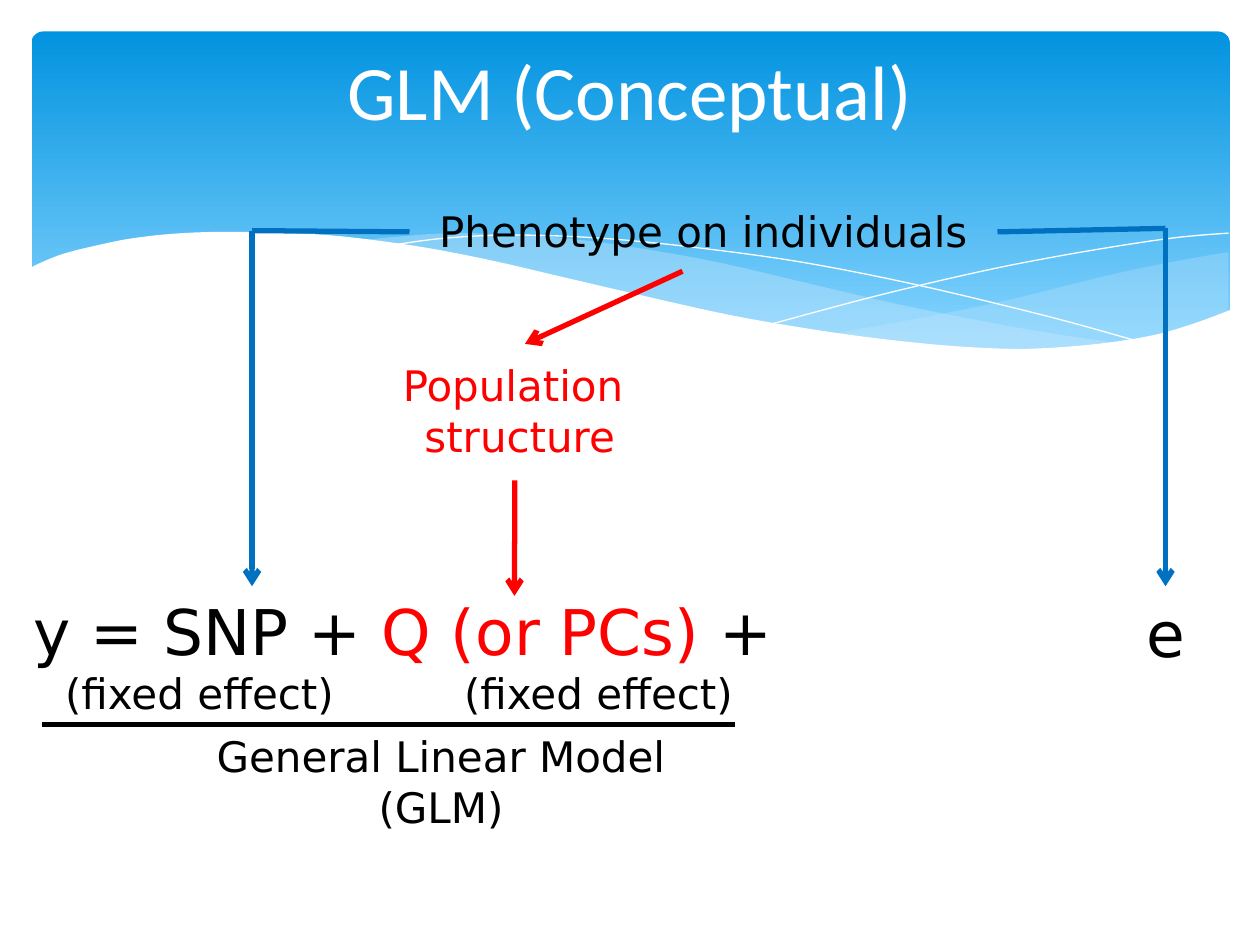
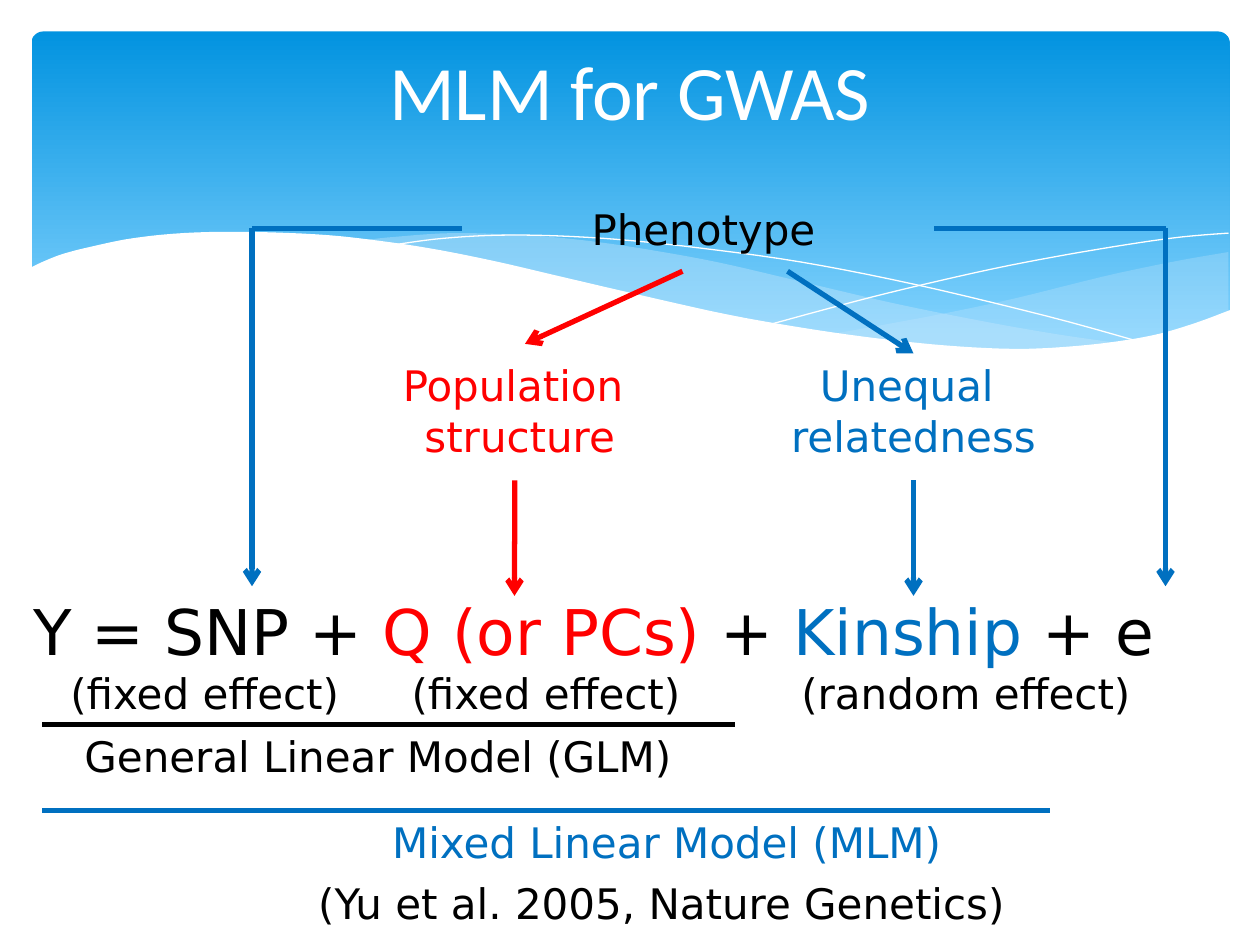
from lxml.etree import SubElement
from pptx import Presentation
from pptx.dml.color import RGBColor
from pptx.enum.shapes import MSO_CONNECTOR, MSO_SHAPE
from pptx.enum.text import MSO_ANCHOR, MSO_AUTO_SIZE, PP_ALIGN
from pptx.oxml.ns import qn
from pptx.util import Pt

BLACK, WHITE, RED, BLUE = "000000", "FFFFFF", "FF0000", "0070C0"
BAND_TOP, BAND_BOTTOM, WASH = "0293E0", "83D3FE", "C6E7FC"
TITLE_FONT, BODY_FONT = "Calibri", "DejaVu Sans"

# Knots of the header waves, in points
HEADER_EDGE = [
    (703.5, 177), (684, 184.3), (662.4, 190.8), (638.6, 195.1), (612, 198),
    (582.5, 199.4), (547.9, 198), (509.8, 194.4), (466.6, 188.6), (416.9, 180),
    (362.2, 167.8), (321.8, 158.4), (281.5, 149), (244.8, 141.8), (210.2, 136.8),
    (180, 133.9), (139, 132.5), (105.1, 133.2), (76.3, 136.1), (54.7, 140.4),
    (37.4, 144.7), (25.9, 149), (16.6, 153.4)]
BELOW_HEADER = [(16.6, 236.9), (703.5, 236.9)]
RIGHT_WASH_TOP = [
    (702, 144), (673.2, 149), (641.5, 155.5), (619.9, 160.6), (579.6, 170.6),
    (542.2, 178.6), (508.3, 185), (475.9, 190.8)]
RIGHT_WASH_BASE = [
    (475.9, 190.8), (507.6, 195.1), (536.4, 198), (562.3, 199.4), (586.1, 200.2),
    (614.9, 198.7), (645.8, 194.4), (673.2, 188.6), (702, 177.8)]
LONG_WASH_TOP = [
    (643, 196.6), (602.6, 190.8), (558, 182.9), (508.3, 172.8), (452.9, 159.8),
    (409.7, 149.8), (370.1, 142.6), (334.8, 137.5), (302.4, 134.6),
    (259.9, 133.2), (225.4, 135.4), (205.9, 137.5)]
LONG_WASH_BASE = [
    (205.9, 137.5), (246.2, 143.3), (290.9, 151.9), (323.3, 159.8),
    (381.6, 172.8), (432.7, 183.6), (478.8, 191.5), (519.8, 197.3),
    (556.6, 199.4), (589, 200.2), (624.2, 198.7), (643, 196.6)]
FALLING_HAIRLINE = [
    (222.5, 140.4), (247.7, 136.8), (278.6, 134.6), (311.8, 134.6),
    (352.1, 136.8), (400.3, 141.8), (457.9, 149.8), (523.4, 162.7),
    (598.3, 180.7), (653, 195.8)]
RISING_HAIRLINE = [
    (441.4, 185), (500.4, 169.2), (558.7, 155.5), (601.9, 146.9),
    (644.4, 139.7), (675.4, 135.4), (702, 133.2)]


def rgb(code):
    return RGBColor.from_string(code)


def smooth(knots, steps=5):
    """Return points of a Catmull-Rom curve through the knots."""
    padded = [knots[0], *knots, knots[-1]]
    curve = []
    for a, b, c, d in zip(padded, padded[1:], padded[2:], padded[3:]):
        for step in range(steps):
            t = step / steps
            curve.append(tuple(
                q + t * (r - p) / 2 + t**2 * (2 * p - 5 * q + 4 * r - s) / 2
                + t**3 * (3 * q - p - 3 * r + s) / 2
                for p, q, r, s in zip(a, b, c, d)))
    return curve + [knots[-1]]


class Deck:
    def __init__(self):
        self.prs = Presentation()
        self.prs.slide_width, self.prs.slide_height = Pt(720), Pt(540)
        self.layout = self.prs.slide_layouts[5]
        self.slide = None

    def new_slide(self, title):
        self.slide = self.prs.slides.add_slide(self.layout)
        if len(self.prs.slides) == 1:
            self.header()
        heading = self.slide.shapes.title
        heading.left, heading.top = Pt(36), Pt(6)
        heading.width, heading.height = Pt(648), Pt(90)
        heading.text_frame.text = title
        heading.text_frame.vertical_anchor = MSO_ANCHOR.MIDDLE
        self.style(heading.text_frame.paragraphs[0], 44, WHITE, TITLE_FONT)

    def style(self, paragraph, size, color, font=BODY_FONT, align=PP_ALIGN.CENTER):
        paragraph.alignment = align
        paragraph.font.name, paragraph.font.size = font, Pt(size)
        paragraph.font.color.rgb = rgb(color)

    def header(self):
        """Draw the wavy header and move it into the layout, shared by all slides."""
        for footer in list(self.layout.placeholders)[1:]:
            footer.element.getparent().remove(footer.element)
        parts = [
            self.band(),
            self.outline(smooth(RIGHT_WASH_TOP) + smooth(RIGHT_WASH_BASE), WASH, 29),
            self.outline(smooth(LONG_WASH_TOP) + smooth(LONG_WASH_BASE), WASH, 40),
            self.outline(smooth(FALLING_HAIRLINE)),
            self.outline(smooth(RISING_HAIRLINE)),
            self.outline(smooth(HEADER_EDGE) + BELOW_HEADER, WHITE),
        ]
        for part in parts:
            self.layout.shapes.element.append(part.element)

    def band(self):
        band = self.slide.shapes.add_shape(
            MSO_SHAPE.ROUNDED_RECTANGLE, Pt(18), Pt(18), Pt(684.7), Pt(194.4))
        band.adjustments[0] = 0.034
        band.shadow.inherit = False
        band.line.fill.background()
        band.fill.gradient()
        band.fill.gradient_angle = 270
        for stop, position, color in zip(
                band.fill.gradient_stops, (0, 0.9), (BAND_TOP, BAND_BOTTOM)):
            stop.position, stop.color.rgb = position, rgb(color)
        return band

    def outline(self, points, fill=None, opacity=100):
        """Draw a filled area, or an open white hairline when there is no fill."""
        start, *others = [(Pt(x), Pt(y)) for x, y in points]
        builder = self.slide.shapes.build_freeform(*start)
        builder.add_line_segments(others, close=fill is not None)
        shape = builder.convert_to_shape()
        shape.shadow.inherit = False
        if fill is None:
            shape.fill.background()
            shape.line.color.rgb, shape.line.width = rgb(WHITE), Pt(0)
            return shape
        shape.line.fill.background()
        shape.fill.solid()
        shape.fill.fore_color.rgb = rgb(fill)
        if opacity < 100:
            color = shape.element.spPr.find(".//" + qn("a:srgbClr"))
            SubElement(color, qn("a:alpha")).set("val", str(opacity * 1000))
        return shape

    def text_frame(self, left, top, width, height):
        box = self.slide.shapes.add_textbox(Pt(left), Pt(top), Pt(width), Pt(height))
        box.text_frame.word_wrap = True
        box.text_frame.auto_size = MSO_AUTO_SIZE.SHAPE_TO_FIT_TEXT
        return box.text_frame

    def label(self, text, left, top, width, height=37, color=BLACK, size=24):
        frame = self.text_frame(left, top, width, height)
        frame.text = text
        for paragraph in frame.paragraphs:
            self.style(paragraph, size, color)

    def equation(self, terms, width):
        paragraph = self.text_frame(12, 335, width, 51).paragraphs[0]
        self.style(paragraph, 36, BLACK, align=PP_ALIGN.LEFT)
        for text, color in terms:
            run = paragraph.add_run()
            run.text = text
            run.font.color.rgb = rgb(color)

    def line(self, start, end, color, arrow=False):
        line = self.slide.shapes.add_connector(
            MSO_CONNECTOR.STRAIGHT, *map(Pt, start + end))
        line.line.color.rgb, line.line.width = rgb(color), Pt(3)
        if arrow:
            SubElement(line.line._get_or_add_ln(), qn("a:tailEnd")).set("type", "arrow")
        SubElement(line.element.spPr, qn("a:effectLst"))

    def arrow(self, start, end, color):
        self.line(start, end, color, arrow=True)

    def model(self, snp_branch, snp_top, error_branch):
        """Draw what both models share; branches are the inner ends by the phenotype."""
        self.label("Population \nstructure", 222, 202, 150, 66, RED)
        self.arrow((390, 155), (300, 196.5), RED)
        self.arrow((294.2, 274.5), (294, 340.5), RED)
        self.line((420, 414), (24, 414), BLACK)
        for x, top, branch in ((144, snp_top, snp_branch), (666, 130.5, error_branch)):
            self.arrow((x, top), (x, 335), BLUE)
            self.line((x, top), branch, BLUE)


def glm_slide(deck):
    deck.new_slide("GLM (Conceptual)")
    deck.label("Phenotype on individuals", 234, 114, 336)
    deck.model((234, 132.5), 131.8, (570, 132.5))
    deck.equation([("y = SNP + ", BLACK), ("Q (or PCs)", RED), (" +", BLACK)], 576)
    deck.label("e", 630, 336, 72, 51, size=36)
    deck.label("(fixed effect)", 18, 378, 192)
    deck.label("(fixed effect)", 216, 378, 252)
    deck.label("General Linear Model (GLM)", 96, 414, 312, 66)


def mlm_slide(deck):
    deck.new_slide("MLM for GWAS")
    deck.label("Phenotype", 258, 112.5, 288)
    deck.model((264, 130.5), 130.5, (534, 130.5))
    deck.label("Unequal \nrelatedness", 444, 202, 156, 66, BLUE)
    deck.arrow((450, 155), (522, 202), BLUE)
    deck.arrow((522, 274.5), (522, 340.5), BLUE)
    deck.equation([("Y = SNP + ", BLACK), ("Q (or PCs)", RED), (" + ", BLACK),
                   ("Kinship", BLUE), (" + e", BLACK)], 696)
    deck.label("(fixed effect)", 24, 378, 186)
    deck.label("(fixed effect)", 216, 378, 192)
    deck.label("(random effect)", 444, 378, 216)
    deck.label("General Linear Model (GLM)", 24, 414, 384)
    deck.line((600, 463), (24, 463), BLUE)
    deck.label("Mixed Linear Model (MLM)", 186, 463, 390, color=BLUE)
    deck.label("(Yu et al. 2005, Nature Genetics)", 156, 498, 444)


def main():
    deck = Deck()
    glm_slide(deck)
    mlm_slide(deck)
    deck.prs.save("out.pptx")


if __name__ == "__main__":
    main()
